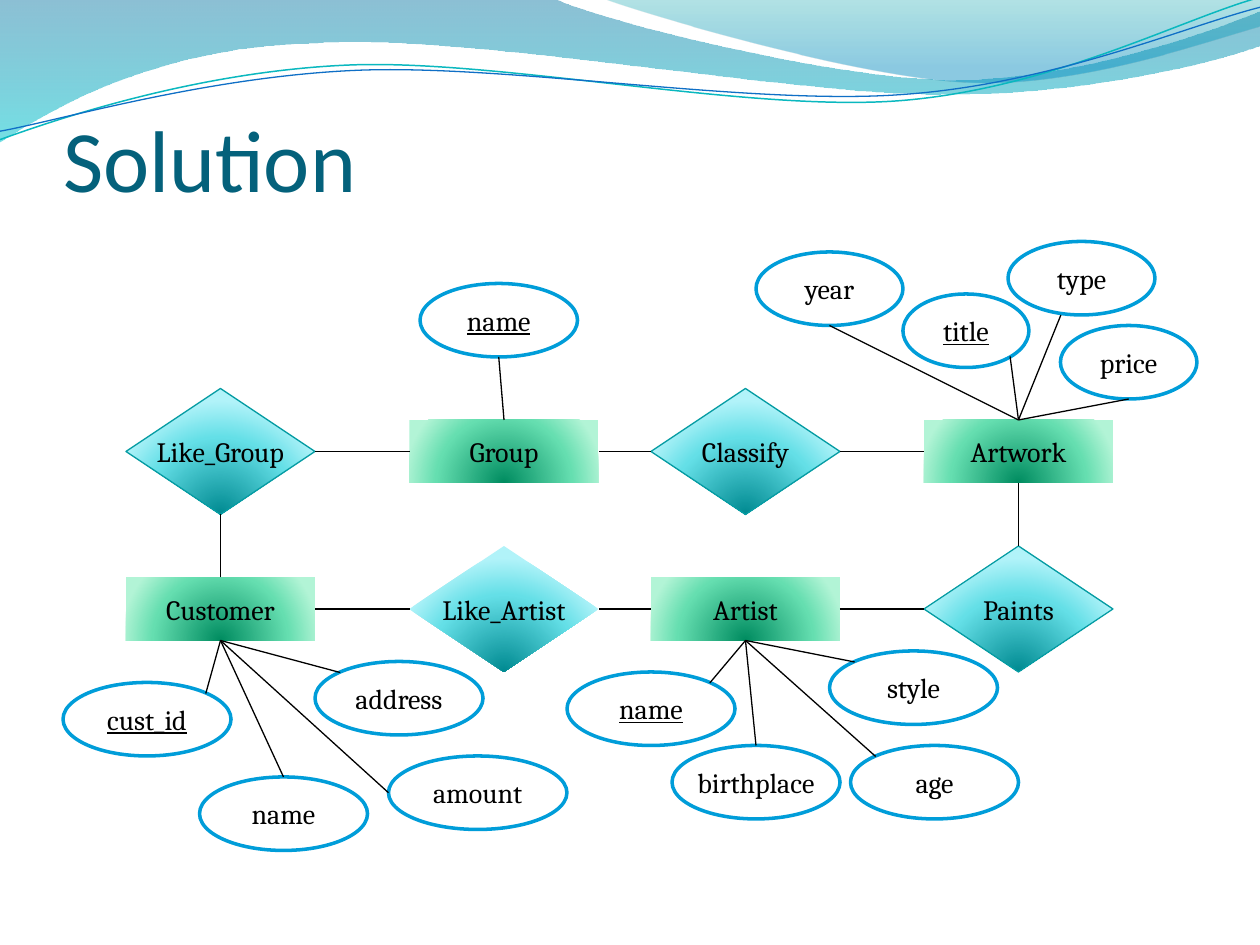
from lxml.etree import SubElement
from pptx import Presentation
from pptx.dml.color import RGBColor
from pptx.enum.shapes import MSO_CONNECTOR as Connector, MSO_SHAPE as Shape
from pptx.enum.text import MSO_ANCHOR as Anchor, PP_ALIGN as Align
from pptx.oxml import parse_xml
from pptx.oxml.ns import nsdecls, qn
from pptx.util import Pt

SCALE = 7620
COLORS = {
    "title": "04617B", "ink": "000000", "white": "FFFFFF",
    "attribute": "009DD9", "relation": "069CA3",
    "teal_line": "0AB8BF", "blue_line": "0F6FC6",
}
ENTITY_STOPS = [(0, "008C60", 100), (68, "65DEB0", 100), (100, "B2F4D6", 100)]
RELATION_STOPS = [(0, "008A91", 100), (68, "64DFE7", 100), (100, "B1F3F9", 100)]
BAND_STOPS = [(0, "0074A1", 45), (100, "00C6CF", 55)]
CREST_STOPS = [(0, "00A1A9", 30), (80, "008BBF", 45)]
LINEAR = '<a:lin ang="5400000" scaled="1"/>'
RADIAL = ('<a:path path="circle"><a:fillToRect l="50000" t="130000" '
          'r="50000" b="-30000"/></a:path>')

BAND = [(0, 0), (528, -1), (571, 20, 797, 76, 910, 76), (1024, 76, 1150, 31, 1200, 11),
        (1201, 43), (1180, 53, 1044, 91, 895, 90), (746, 90, 458, 34, 308, 41),
        (155, 43, 55, 100, -1, 136)]
CREST = [(575, -1), (611, 13, 818, 74, 923, 78), (1027, 83, 1153, 38, 1200, 25), (1200, 0)]
TEAL_WAVE = [(0, 133), (58, 112, 190, 68, 332, 62), (474, 56, 712, 107, 856, 96),
             (1000, 85, 1126, 18, 1198, -2)]
BLUE_WAVE = [(0, 125), (56, 115, 197, 73, 340, 67), (484, 61, 716, 101, 860, 90),
             (1003, 80, 1129, 25, 1200, 7)]

ENTITIES = {"Artwork": (880, 400), "Group": (390, 400),
            "Customer": (120, 550), "Artist": (620, 550)}
RELATIONS = {"Like_Group": (120, 370), "Classify": (620, 370),
             "Paints": (880, 520), "Like_Artist": (390, 520)}
LINKS = [
    ("Customer", "top", "Like_Group", "bottom"), ("Group", "left", "Like_Group", "right"),
    ("Classify", "left", "Group", "right"), ("Artwork", "left", "Classify", "right"),
    ("Paints", "top", "Artwork", "bottom"), ("Artist", "right", "Paints", "left"),
    ("Artist", "left", "Like_Artist", "right"), ("Customer", "right", "Like_Artist", "left"),
]
ATTRIBUTES = [
    ("Group", "top", "name", 400, 270, 150, "bottom", True),
    ("Artwork", "top", "title", 860, 280, 120, "bottom_right", True),
    ("Artwork", "top", "type", 960, 230, 140, "lower_left", False),
    ("Artwork", "top", "price", 1010, 310, 130, "bottom", False),
    ("Artwork", "top", "year", 720, 240, 140, "bottom", False),
    ("Artist", "bottom", "birthplace", 640, 710, 160, "top", False),
    ("Artist", "bottom", "style", 790, 620, 160, "top_left", False),
    ("Artist", "bottom", "age", 810, 710, 160, "top_left", False),
    ("Artist", "bottom", "name", 540, 640, 160, "top_right", True),
    ("Customer", "bottom", "name", 190, 740, 160, "top", False),
    ("Customer", "bottom", "address", 300, 630, 160, "top_left", False),
    ("Customer", "bottom", "amount", 370, 720, 170, "left", False),
    ("Customer", "bottom", "cust_id", 60, 650, 160, "top_right", True),
]
SITES = {
    "top": (0.5, 0), "bottom": (0.5, 1), "left": (0, 0.5), "right": (1, 0.5),
    "top_left": (0.15, 0.15), "top_right": (0.85, 0.15),
    "bottom_right": (0.85, 0.85), "lower_left": (0.36, 1),
}


def px(*lengths):
    return [round(length * SCALE) for length in lengths]


def rgb(name):
    return RGBColor.from_string(COLORS[name])


def write_text(owner, text, size=16, font="Cambria", color="ink", align=Align.CENTER,
               anchor=Anchor.MIDDLE, underline=None, wrap=True, insets=None):
    frame = owner.text_frame
    frame.word_wrap = wrap
    frame.vertical_anchor = anchor
    if insets:
        (frame.margin_left, frame.margin_top,
         frame.margin_right, frame.margin_bottom) = px(*insets)
    paragraph = frame.paragraphs[0]
    paragraph.alignment = align
    run = paragraph.add_run()
    run.text = text
    run.font.size = Pt(size)
    run.font.name = font
    run.font.underline = underline
    run.font.color.rgb = rgb(color)


def fill_gradient(owner, stops, direction):
    owner.fill.background()
    marks = "".join(
        f'<a:gs pos="{pos * 1000}"><a:srgbClr val="{color}">'
        f'<a:alpha val="{alpha * 1000}"/></a:srgbClr></a:gs>'
        for pos, color, alpha in stops)
    gradient = parse_xml(f'<a:gradFill {nsdecls("a")} rotWithShape="1">'
                         f'<a:gsLst>{marks}</a:gsLst>{direction}</a:gradFill>')
    properties = owner._element.spPr
    properties.replace(properties.find(qn("a:noFill")), gradient)


def set_outline(owner, color=None, width=0.75):
    if color:
        owner.line.color.rgb = rgb(color)
        owner.line.width = Pt(width)
    else:
        owner.line.fill.background()


def bend(wave, segments):
    edges = list(wave._element.iter(qn("a:lnTo")))
    for edge, segment in zip(edges, segments):
        if len(segment) == 2:
            continue
        edge.tag = qn("a:cubicBezTo")
        edge.remove(edge[0])
        lengths = px(*segment)
        for x, y in zip(lengths[::2], lengths[1::2]):
            SubElement(edge, qn("a:pt"), x=str(x - wave.left), y=str(y - wave.top))


def add_wave(slide, segments, stops=None, color=None, width=0.75):
    start, *rest = segments
    builder = slide.shapes.build_freeform(*px(*start), scale=1.0)
    builder.add_line_segments([px(*segment[-2:]) for segment in rest], close=bool(stops))
    wave = builder.convert_to_shape()
    bend(wave, rest)
    wave.shadow.inherit = False
    if stops:
        fill_gradient(wave, stops, LINEAR)
    else:
        wave.fill.background()
    set_outline(wave, color, width)


def add_node(slide, kind, box, text, stops=None, outline=None, width=0.75, **text_format):
    node = slide.shapes.add_shape(kind, *px(*box))
    node.shadow.inherit = False
    if stops:
        fill_gradient(node, stops, RADIAL)
    else:
        node.fill.solid()
        node.fill.fore_color.rgb = rgb("white")
    set_outline(node, outline, width)
    write_text(node, text, **text_format)


def site(box, name):
    left, top, width, height = box
    across, down = SITES[name]
    return px(left + width * across, top + height * down)


def add_link(slide, start, end):
    link = slide.shapes.add_connector(Connector.STRAIGHT, *start, *end)
    set_outline(link, "ink")
    SubElement(link._element.spPr, qn("a:effectLst"))


def main():
    deck = Presentation()
    deck.slide_width, deck.slide_height = px(1200, 900)
    slide = deck.slides.add_slide(deck.slide_layouts[5])

    add_wave(slide, BAND, BAND_STOPS)
    add_wave(slide, CREST, CREST_STOPS)
    add_wave(slide, TEAL_WAVE, color="teal_line", width=0.85)
    add_wave(slide, BLUE_WAVE, color="blue_line")

    title = slide.shapes.title
    title.left, title.top, title.width, title.height = px(60, 50, 1080, 150)
    write_text(title, "Solution", size=50, font="Calibri", color="title",
               align=Align.LEFT, anchor=Anchor.BOTTOM, insets=(0, 6, 0, 0))

    boxes = {}
    for name, corner in ENTITIES.items():
        boxes[name] = (*corner, 180, 60)
        add_node(slide, Shape.RECTANGLE, boxes[name], name, ENTITY_STOPS)
    for name, corner in RELATIONS.items():
        boxes[name] = (*corner, 180, 120)
        outline = None if name == "Like_Artist" else "relation"
        add_node(slide, Shape.DIAMOND, boxes[name], name, RELATION_STOPS, outline,
                 wrap=False, insets=(0, 0, 0, 0))
    for source, source_site, target, target_site in LINKS:
        add_link(slide, site(boxes[source], source_site), site(boxes[target], target_site))

    for entity, entity_site, name, left, top, width, name_site, is_key in ATTRIBUTES:
        oval = (left, top, width, 70)
        add_node(slide, Shape.OVAL, oval, name, outline="attribute", width=2,
                 underline=is_key or None, wrap=name != "birthplace")
        add_link(slide, site(boxes[entity], entity_site), site(oval, name_site))

    deck.save("out.pptx")


if __name__ == "__main__":
    main()
